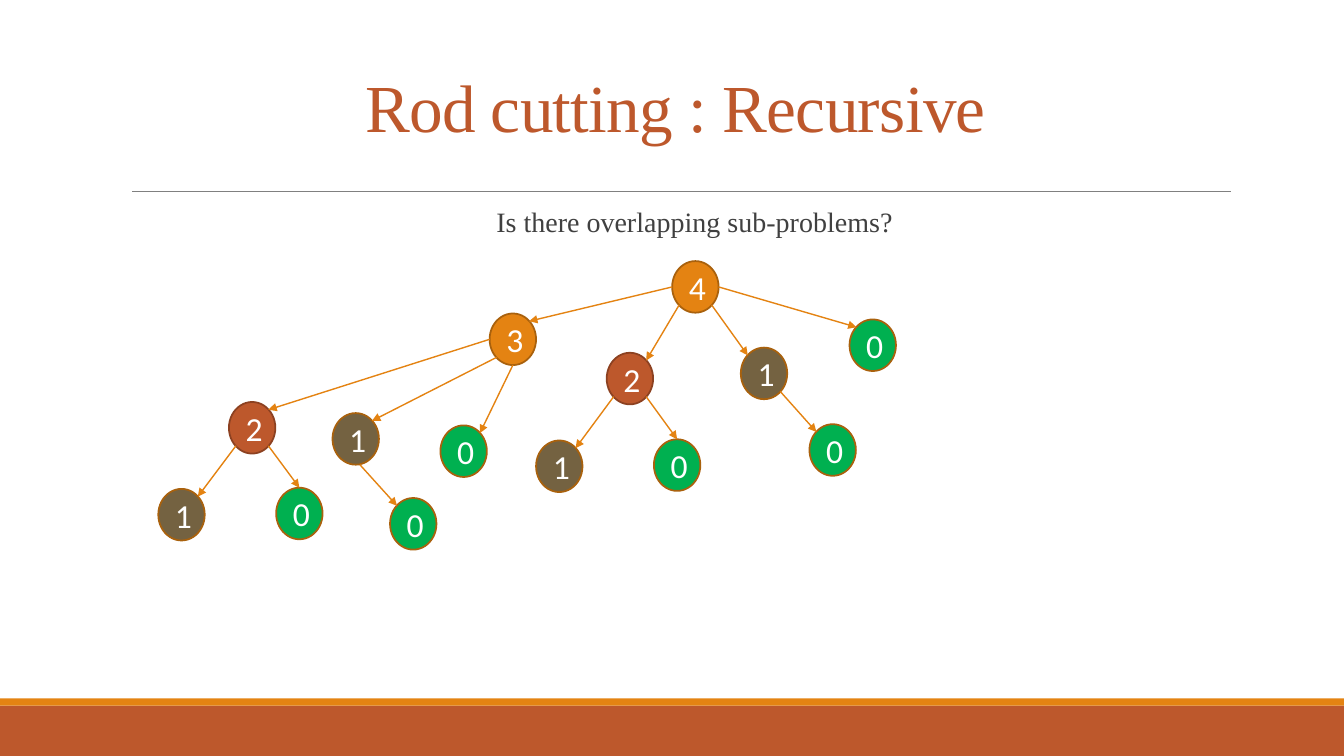
from dataclasses import dataclass

from lxml import etree
from pptx import Presentation
from pptx.dml.color import RGBColor
from pptx.enum import shapes, text
from pptx.oxml import ns
from pptx.util import Cm, Pt


# Colours, fonts and sizes
@dataclass(frozen=True)
class Theme:
    rust: str = "BD582C"
    orange: str = "E48312"
    green: str = "00B050"
    olive: str = "746241"
    rust_edge: str = "8C4121"
    orange_edge: str = "A9610D"
    rule: str = "808080"
    body_ink: str = "404040"
    white: str = "FFFFFF"
    serif: str = "Times New Roman"
    sans: str = "Calibri"
    title_size: int = 48
    body_size: int = 20
    node_size: int = 24


THEME = Theme()
SLIDE_WIDTH, SLIDE_HEIGHT = 33.87, 19.05
NODE_WIDTH, NODE_HEIGHT = 1.17, 1.3

# Rod length -> fill and outline
NODE_COLOURS = {
    0: (THEME.green, THEME.orange_edge),
    1: (THEME.olive, THEME.orange_edge),
    2: (THEME.rust, THEME.rust_edge),
    3: (THEME.orange, THEME.orange_edge),
    4: (THEME.orange, THEME.orange_edge),
}

# Points on a node's outline, as fractions of its width and height
ANCHORS = {
    "top": (0.5, 0), "left": (0, 0.5), "bottom": (0.5, 1), "right": (1, 0.5),
    "top left": (0.15, 0.15), "top right": (0.85, 0.15),
    "bottom left": (0.15, 0.85), "bottom right": (0.85, 0.85),
    "below centre": (0.59, 1),
}

# Call path (remaining lengths): left and top in cm
CALLS = {
    "4": (16.94, 6.58),
    "40": (21.41, 8.05),
    "41": (18.67, 8.76),
    "42": (15.29, 8.89),
    "43": (12.34, 7.9),
    "410": (20.4, 10.69),
    "421": (13.51, 11.1),
    "420": (16.48, 11.07),
    "432": (5.77, 10.13),
    "431": (8.38, 10.41),
    "430": (11.1, 10.72),
    "4310": (9.83, 12.55),
    "4321": (3.99, 12.32),
    "4320": (6.96, 12.29),
}

# Call path: where its arrow leaves the parent and reaches the node
ARROWS = {
    "40": ("right", "top left"),
    "41": ("bottom right", "top left"),
    "42": ("bottom left", "top right"),
    "43": ("left", "top right"),
    "410": ("bottom right", "top left"),
    "421": ("bottom left", "top right"),
    "420": ("bottom right", "top"),
    "432": ("left", "top right"),
    "431": ("bottom left", "top right"),
    "430": ("bottom", "top right"),
    "4310": ("below centre", "top left"),
    "4321": ("bottom left", "top right"),
    "4320": ("bottom right", "top"),
}


def colour(value):
    return RGBColor.from_string(value)


def write_text(shape, words, *, size, font, ink, line_spacing=1.0,
               space_after=0, tracking=None, bullet=True,
               anchor=text.MSO_ANCHOR.MIDDLE):
    frame = shape.text_frame
    frame.word_wrap = True
    frame.auto_size = text.MSO_AUTO_SIZE.NONE
    frame.vertical_anchor = anchor
    paragraph = frame.paragraphs[0]
    if not bullet:
        properties = paragraph._p.get_or_add_pPr()
        properties.set("marL", "0")
        properties.set("indent", "0")
        etree.SubElement(properties, ns.qn("a:buNone"))
    paragraph.alignment = text.PP_ALIGN.CENTER
    paragraph.line_spacing = line_spacing
    paragraph.space_before = Pt(0)
    paragraph.space_after = Pt(space_after)
    run = paragraph.add_run()
    run.text = words
    run.font.size = Pt(size)
    run.font.name = font
    run.font.color.rgb = colour(ink)
    if tracking is not None:
        run._r.get_or_add_rPr().set("spc", str(int(tracking * 100)))


def place(shape, left, top, width, height):
    shape.left, shape.top = Cm(left), Cm(top)
    shape.width, shape.height = Cm(width), Cm(height)


def add_bar(slide, top, height, fill):
    bar = slide.shapes.add_shape(shapes.MSO_SHAPE.RECTANGLE, Cm(0), Cm(top),
                                 Cm(SLIDE_WIDTH), Cm(height))
    bar.shadow.inherit = False
    bar.fill.solid()
    bar.fill.fore_color.rgb = colour(fill)
    bar.line.fill.background()


def add_line(slide, start, end, ink, weight, arrow=False):
    line = slide.shapes.add_connector(shapes.MSO_CONNECTOR.STRAIGHT,
                                      *map(Cm, start), *map(Cm, end))
    line.line.color.rgb = colour(ink)
    line.line.width = Pt(weight)
    if arrow:
        etree.SubElement(line.line._get_or_add_ln(), ns.qn("a:tailEnd"),
                         type="triangle")
    etree.SubElement(line._element.spPr, ns.qn("a:effectLst"))


def add_node(slide, call):
    length = int(call[-1])
    fill, edge = NODE_COLOURS[length]
    node = slide.shapes.add_shape(shapes.MSO_SHAPE.OVAL, *map(Cm, CALLS[call]),
                                  Cm(NODE_WIDTH), Cm(NODE_HEIGHT))
    node.shadow.inherit = False
    node.fill.solid()
    node.fill.fore_color.rgb = colour(fill)
    node.line.color.rgb = colour(edge)
    node.line.width = Pt(1.25)
    write_text(node, str(length), size=THEME.node_size, font=THEME.sans,
               ink=THEME.white)


def anchor_point(call, anchor):
    left, top = CALLS[call]
    across, down = ANCHORS[anchor]
    return left + across * NODE_WIDTH, top + down * NODE_HEIGHT


def main():
    presentation = Presentation()
    presentation.slide_width = Cm(SLIDE_WIDTH)
    presentation.slide_height = Cm(SLIDE_HEIGHT)
    slide = presentation.slides.add_slide(presentation.slide_layouts[1])

    # Footer bars and title rule
    add_bar(slide, 17.78, 1.27, THEME.rust)
    add_bar(slide, 17.6, 0.18, THEME.orange)
    add_line(slide, (3.33, 4.83), (31.01, 4.83), THEME.rule, 0.5)

    # Title and question
    title = slide.shapes.title
    place(title, 3.05, 0.79, 27.94, 4.04)
    write_text(title, "Rod cutting : Recursive", size=THEME.title_size,
               font=THEME.serif, ink=THEME.rust, line_spacing=0.85,
               tracking=-0.5)
    body = slide.placeholders[1]
    place(body, 2.9, 4.9, 29.21, 9.88)
    body.text_frame.margin_left = body.text_frame.margin_right = Cm(0)
    write_text(body, "Is there overlapping sub-problems?",
               size=THEME.body_size, font=THEME.serif, ink=THEME.body_ink,
               line_spacing=1.14, space_after=6, bullet=False,
               anchor=text.MSO_ANCHOR.TOP)

    # Recursion tree: each call's parent is its path without the last step
    for call in CALLS:
        add_node(slide, call)
    for call, (leave, reach) in ARROWS.items():
        add_line(slide, anchor_point(call[:-1], leave),
                 anchor_point(call, reach), THEME.orange, 1, arrow=True)

    presentation.save("out.pptx")


if __name__ == "__main__":
    main()
